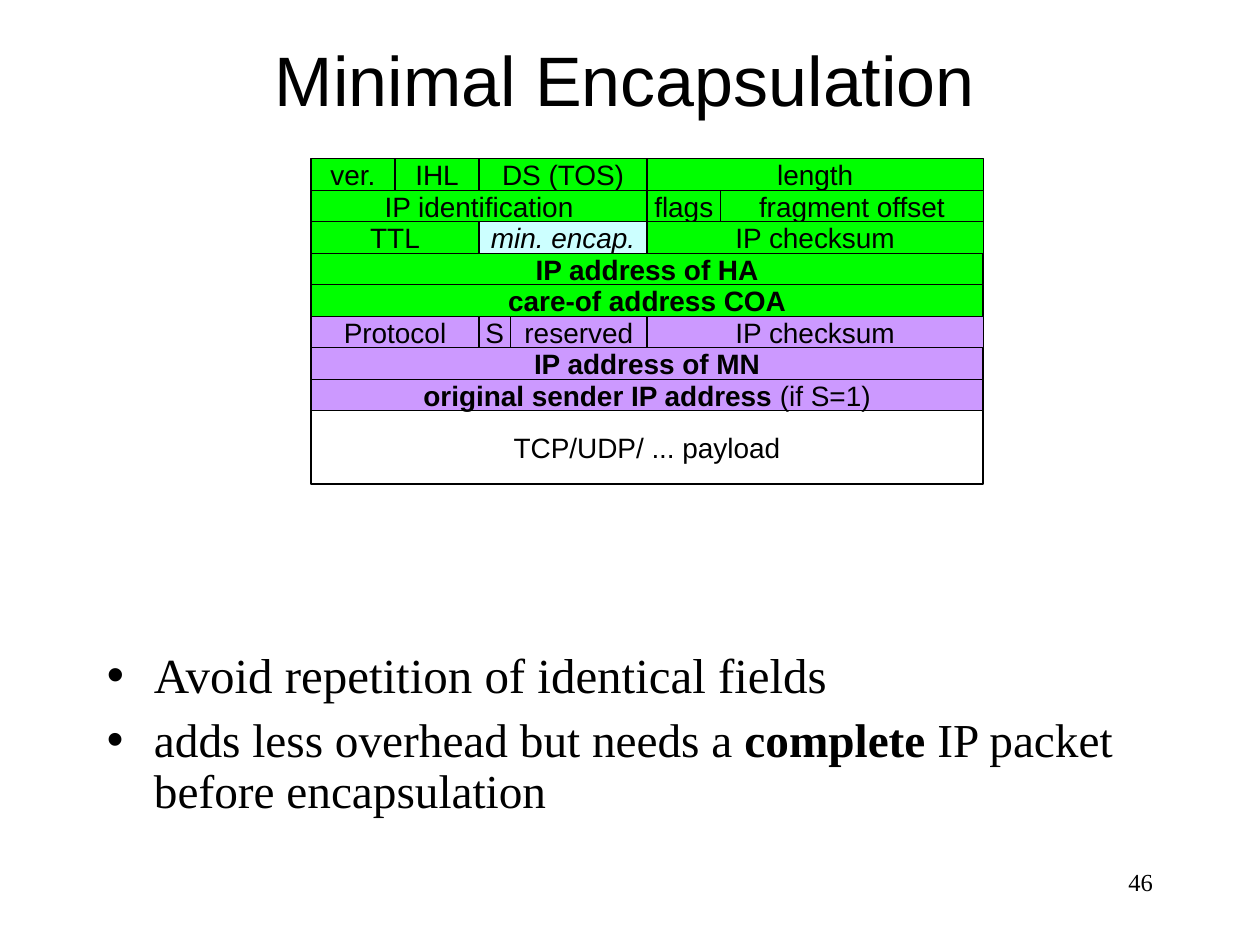
import pptx
import pptx.util
import pptx.dml.color
import pptx.enum.shapes
import pptx.enum.text
from pptx.util import Cm, Pt

ALIGN = pptx.enum.text.PP_ALIGN
ANCHOR = pptx.enum.text.MSO_ANCHOR

THEME = {
    "outer": "00FF00", "marked": "CCFFFF", "inner": "CC99FF", "ink": "000000",
    "sans": "Arial", "serif": "Times New Roman",
    "title": 40, "first_bullet": 28, "second_bullet": 27, "field": 16, "number": 14,
}

TITLE = "Minimal Encapsulation"
SLIDE_NUMBER = "46"
BOLD, ITALIC = {"bold": True}, {"italic": True}

# Each text is a list of (words, format) runs.
BULLETS = [
    ("first_bullet", [("Avoid repetition of identical fields", {})]),
    ("second_bullet", [("adds less overhead but needs a ", {}), ("complete", BOLD),
                       (" IP packet before encapsulation", {})]),
]

# Each header row lists (width in bits, fill, runs).
HEADER_ROWS = [
    [(4, "outer", [("ver.", {})]), (4, "outer", [("IHL", {})]),
     (8, "outer", [("DS (TOS)", {})]), (16, "outer", [("length", {})])],
    [(16, "outer", [("IP identification", {})]), (3.5, "outer", [("flags", {})]),
     (12.5, "outer", [("fragment offset", {})])],
    [(8, "outer", [("TTL", {})]), (8, "marked", [("min. encap.", ITALIC)]),
     (16, "outer", [("IP checksum", {})])],
    [(32, "outer", [("IP address of HA", BOLD)])],
    [(32, "outer", [("care-of address COA", BOLD)])],
    [(8, "inner", [("Protocol", {})]), (1.5, "inner", [("S", {})]),
     (6.5, "inner", [("reserved", {})]), (16, "inner", [("IP checksum", {})])],
    [(32, "inner", [("IP address of MN", BOLD)])],
    [(32, "inner", [("original sender IP address ", BOLD), ("(if S=1)", {})])],
]
PAYLOAD = [("TCP/UDP/ ... payload", {})]

PACKET_LEFT, PACKET_TOP = Cm(6.27), Cm(3.2)
PACKET_WIDTH, HEADER_HEIGHT, PAYLOAD_HEIGHT = Cm(13.55), Cm(5.08), Cm(1.48)


def color(name):
    return pptx.dml.color.RGBColor.from_string(THEME[name])


def set_values(target, values):
    for name, value in values.items():
        setattr(target, name, value)


def write(paragraph, runs, font, size, **layout):
    set_values(paragraph, layout)
    for words, emphasis in runs:
        run = paragraph.add_run()
        run.text = words
        set_values(run.font, {"name": THEME[font], "size": Pt(THEME[size]),
                              "bold": False, "italic": False, **emphasis})
        run.font.color.rgb = color("ink")


def place(shape, left, top, width, height):
    set_values(shape, {"left": Cm(left), "top": Cm(top),
                       "width": Cm(width), "height": Cm(height)})


def add_field(group, left, top, right, bottom, fill, runs):
    """Draw one packet field between the given edges; fill None leaves it open."""
    shape = group.shapes.add_shape(
        pptx.enum.shapes.MSO_SHAPE.RECTANGLE,
        round(left), round(top), round(right) - round(left), round(bottom) - round(top))
    shape.shadow.inherit = False
    if fill:
        shape.fill.solid()
        shape.fill.fore_color.rgb = color(fill)
    else:
        shape.fill.background()
    shape.line.color.rgb = color("ink")
    shape.line.width = Pt(0.75)
    set_values(shape.text_frame, {"word_wrap": False, "vertical_anchor": ANCHOR.MIDDLE})
    write(shape.text_frame.paragraphs[0], runs, "sans", "field", alignment=ALIGN.CENTER)


def add_packet(slide):
    group = slide.shapes.add_group_shape()
    bit_width = PACKET_WIDTH / 32
    row_height = HEADER_HEIGHT / len(HEADER_ROWS)
    for index, row in enumerate(HEADER_ROWS):
        top = PACKET_TOP + index * row_height
        left = PACKET_LEFT
        for bits, fill, runs in row:
            right = left + bits * bit_width
            add_field(group, left, top, right, top + row_height, fill, runs)
            left = right
    payload_top = PACKET_TOP + HEADER_HEIGHT
    add_field(group, PACKET_LEFT, payload_top, PACKET_LEFT + PACKET_WIDTH,
              payload_top + PAYLOAD_HEIGHT, None, PAYLOAD)


def fill_title(title):
    place(title, 1.8, 0.56, 21.59, 2.03)
    set_values(title.text_frame, {"vertical_anchor": ANCHOR.MIDDLE,
                                  "auto_size": pptx.enum.text.MSO_AUTO_SIZE.NONE})
    write(title.text_frame.paragraphs[0], [(TITLE, {})], "sans", "title",
          alignment=ALIGN.CENTER)


def fill_body(body):
    place(body, 1.9, 13, 21.59, 3.94)
    frame = body.text_frame
    frame.auto_size = pptx.enum.text.MSO_AUTO_SIZE.NONE
    for index, (size, runs) in enumerate(BULLETS):
        paragraph = frame.add_paragraph() if index else frame.paragraphs[0]
        properties = paragraph._p.get_or_add_pPr()
        properties.set("marL", str(Cm(0.95)))
        properties.set("indent", str(-Cm(0.95)))
        write(paragraph, runs, "serif", size, line_spacing=0.9,
              space_before=Pt(7 if index else 0))


def add_slide_number(slide):
    box = slide.shapes.add_textbox(Cm(18.2), Cm(17.35), Cm(5.29), Cm(1.27))
    box.text_frame.word_wrap = True
    write(box.text_frame.paragraphs[0], [(SLIDE_NUMBER, {})], "serif", "number",
          alignment=ALIGN.RIGHT)


def main():
    presentation = pptx.Presentation()
    presentation.slide_width, presentation.slide_height = Cm(25.4), Cm(19.05)
    slide = presentation.slides.add_slide(presentation.slide_layouts[1])
    fill_title(slide.shapes.title)
    fill_body(slide.placeholders[1])
    add_packet(slide)
    add_slide_number(slide)
    presentation.save("out.pptx")


if __name__ == "__main__":
    main()
